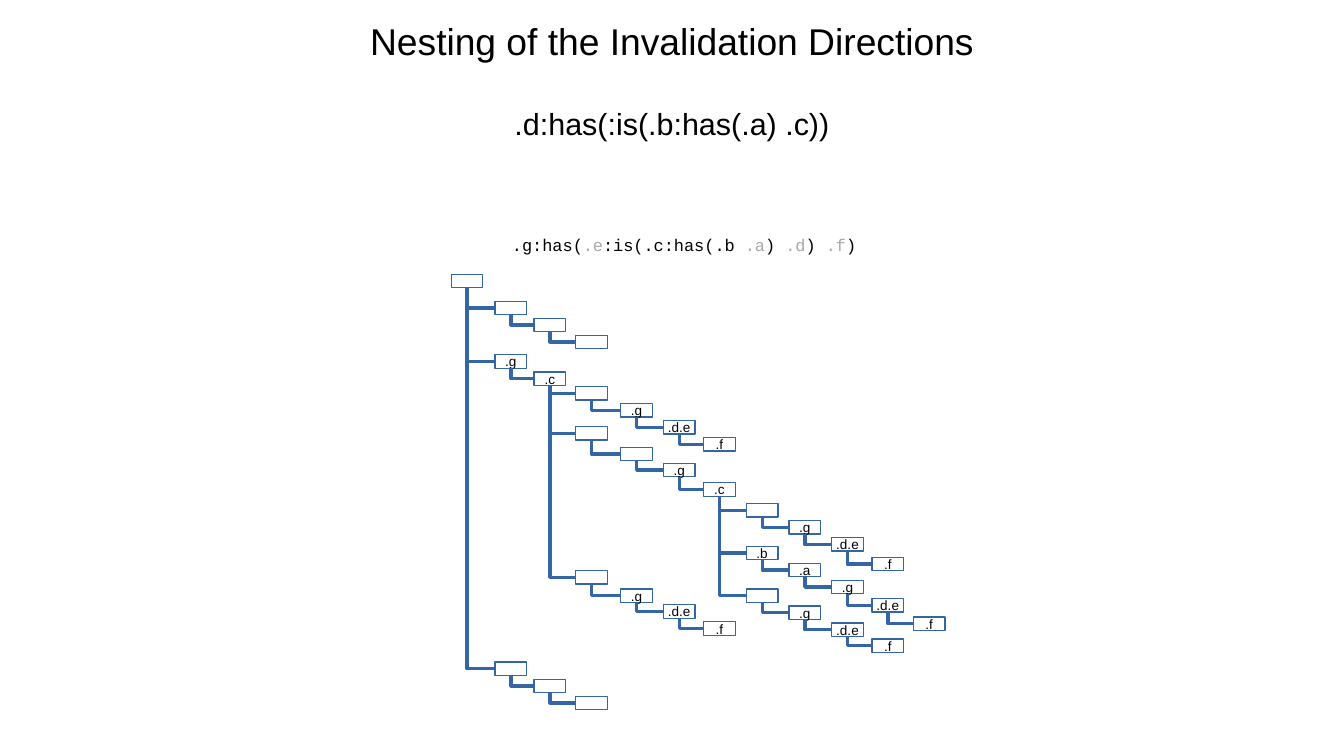
"""Build the slide on nested invalidation directions with its element tree."""
import pptx
import pptx.dml.color
import pptx.enum.shapes
import pptx.enum.text
import pptx.oxml
import pptx.oxml.ns
import pptx.util

BLACK = pptx.dml.color.RGBColor(0x00, 0x00, 0x00)
WHITE = pptx.dml.color.RGBColor(0xFF, 0xFF, 0xFF)
GRAY = pptx.dml.color.RGBColor(0xA9, 0xA9, 0xA9)
BLUE = pptx.dml.color.RGBColor(0x34, 0x65, 0xA4)
Inches = pptx.util.Inches

HEADING = {"name": "Arial", "size": pptx.util.Pt(22)}
SELECTOR = {"name": "Arial", "size": pptx.util.Pt(18)}
NODE = {"name": "Arial", "size": pptx.util.Pt(8)}
CODE = {"name": "Courier New", "size": pptx.util.Pt(10)}

CENTER = pptx.enum.text.PP_ALIGN.CENTER
LEFT = pptx.enum.text.PP_ALIGN.LEFT
NODE_FRAME = {"word_wrap": False, "vertical_anchor": pptx.enum.text.MSO_ANCHOR.MIDDLE}

NODE_WIDTH, NODE_HEIGHT = 0.26, 0.11
LEVEL_LEFTS = [3.7, 4.06, 4.38, 4.72, 5.09, 5.44, 5.77, 6.12, 6.47, 6.82, 7.15, 7.49]

INNER_BRANCHES = [
    ([("", 4.13), (".g", 4.27), (".d.e", 4.41), (".f", 4.57)], []),
    ([(".b", 4.48), (".a", 4.62), (".g", 4.76), (".d.e", 4.91), (".f", 5.06)], []),
    ([("", 4.83), (".g", 4.97), (".d.e", 5.11), (".f", 5.24)], []),
]
OUTER_BRANCHES = [
    ([("", 3.17), (".g", 3.31), (".d.e", 3.45), (".f", 3.59)], []),
    ([("", 3.5), ("", 3.67), (".g", 3.8), (".c", 3.96)], INNER_BRANCHES),
    ([("", 4.68), (".g", 4.83), (".d.e", 4.96), (".f", 5.1)], []),
]
ROOT_BRANCHES = [
    ([("", 2.47), ("", 2.61), ("", 2.75)], []),
    ([(".g", 2.91), (".c", 3.05)], OUTER_BRANCHES),
    ([("", 5.43), ("", 5.57), ("", 5.71)], []),
]
TREE = ([("", 2.25)], ROOT_BRANCHES)

FORMULA = [
    (".g:has(", BLACK), (".e", GRAY), (":is(.c:has(.b", BLACK), (" .a", GRAY),
    (")", BLACK), (" .d", GRAY), (") ", BLACK), (".f", GRAY), (")", BLACK),
]


def set_values(target, values):
    for attribute, value in values.items():
        setattr(target, attribute, value)


class TreeSlide:
    def __init__(self, slide):
        self.shapes = slide.shapes

    def wording(self, paragraph, pieces, style, alignment):
        paragraph.alignment = alignment
        for words, color in pieces:
            run = paragraph.add_run()
            run.text = words
            set_values(run.font, style)
            run.font.color.rgb = color

    def headings(self, title, selector):
        frame = self.shapes.add_textbox(
            Inches(0), Inches(0.1), Inches(11.02), Inches(1)).text_frame
        frame.word_wrap = True
        self.wording(frame.paragraphs[0], [(title, BLACK)], HEADING, CENTER)
        subtitle = frame.add_paragraph()
        subtitle.space_before = pptx.util.Pt(25)
        self.wording(subtitle, [(selector, BLACK)], SELECTOR, CENTER)

    def panel(self, left, top, width, height):
        panel = self.shapes.add_shape(
            pptx.enum.shapes.MSO_SHAPE.RECTANGLE,
            Inches(left), Inches(top), Inches(width), Inches(height))
        panel.shadow.inherit = False
        panel.fill.solid()
        panel.fill.fore_color.rgb = WHITE
        panel.line.fill.background()
        set_values(panel.text_frame, NODE_FRAME)
        return panel

    def formula(self, pieces):
        panel = self.panel(4.1, 1.85, 2.23, 0.31)
        self.wording(panel.text_frame.paragraphs[0], pieces, CODE, LEFT)

    def outline(self, line):
        line.color.rgb = BLUE
        line.width = pptx.util.Pt(0)

    def node(self, label, level, top):
        node = self.panel(LEVEL_LEFTS[level], top, NODE_WIDTH, NODE_HEIGHT)
        self.outline(node.line)
        if label:
            self.wording(node.text_frame.paragraphs[0], [(label, BLACK)], NODE, CENTER)
        return node

    def branch(self, parent, child):
        start_x = parent.left + parent.width // 2
        start_y = parent.top + parent.height
        reach = child.left - start_x
        drop = child.top + child.height // 2 - start_y
        elbow = self.shapes.add_connector(
            pptx.enum.shapes.MSO_CONNECTOR.ELBOW, start_x, start_y, child.left, start_y + drop)
        elbow.begin_connect(parent, 2)
        elbow.end_connect(child, 1)
        set_values(elbow, {
            "left": start_x + (reach - drop) // 2,
            "top": start_y + (drop - reach) // 2,
            "width": drop,
            "height": reach,
        })
        properties = elbow._element.spPr
        frame = properties.find(pptx.oxml.ns.qn("a:xfrm"))
        frame.set("rot", "16200000")
        frame.set("flipH", "1")
        properties.find(pptx.oxml.ns.qn("a:prstGeom")).set("prst", "bentConnector2")
        self.outline(elbow.line)
        properties.append(pptx.oxml.parse_xml(
            "<a:effectLst %s/>" % pptx.oxml.ns.nsdecls("a")))

    def tree(self, chain, branches, parent=None, level=0):
        for label, top in chain:
            child = self.node(label, level, top)
            if parent is not None:
                self.branch(parent, child)
            parent, level = child, level + 1
        for subchain, subbranches in branches:
            self.tree(subchain, subbranches, parent, level)


def main():
    deck = pptx.Presentation()
    set_values(deck, {"slide_width": Inches(11.02), "slide_height": Inches(6.2)})
    page = TreeSlide(deck.slides.add_slide(deck.slide_layouts[6]))
    page.headings("Nesting of the Invalidation Directions", ".d:has(:is(.b:has(.a) .c))")
    page.formula(FORMULA)
    page.tree(*TREE)
    deck.save("out.pptx")


if __name__ == "__main__":
    main()
